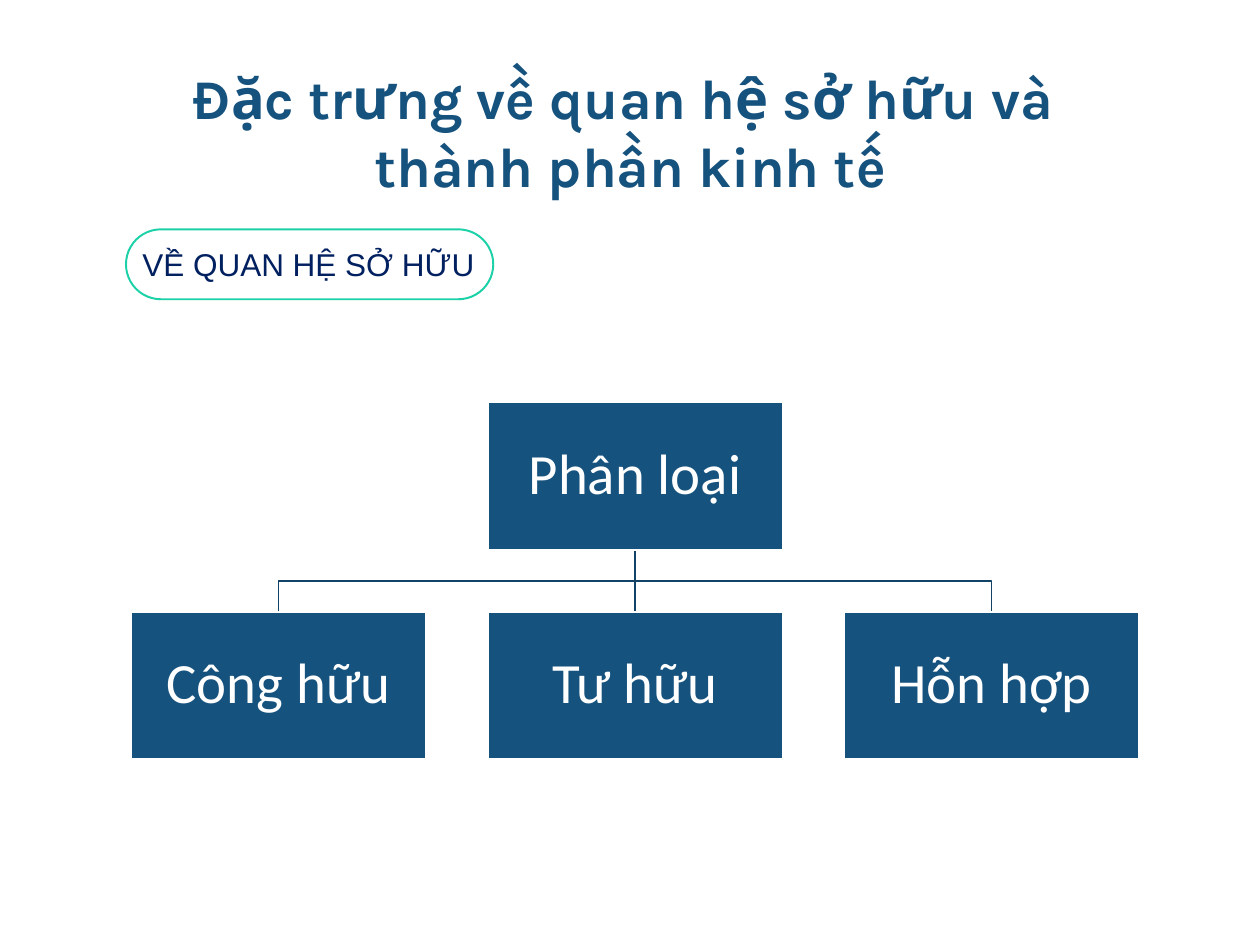
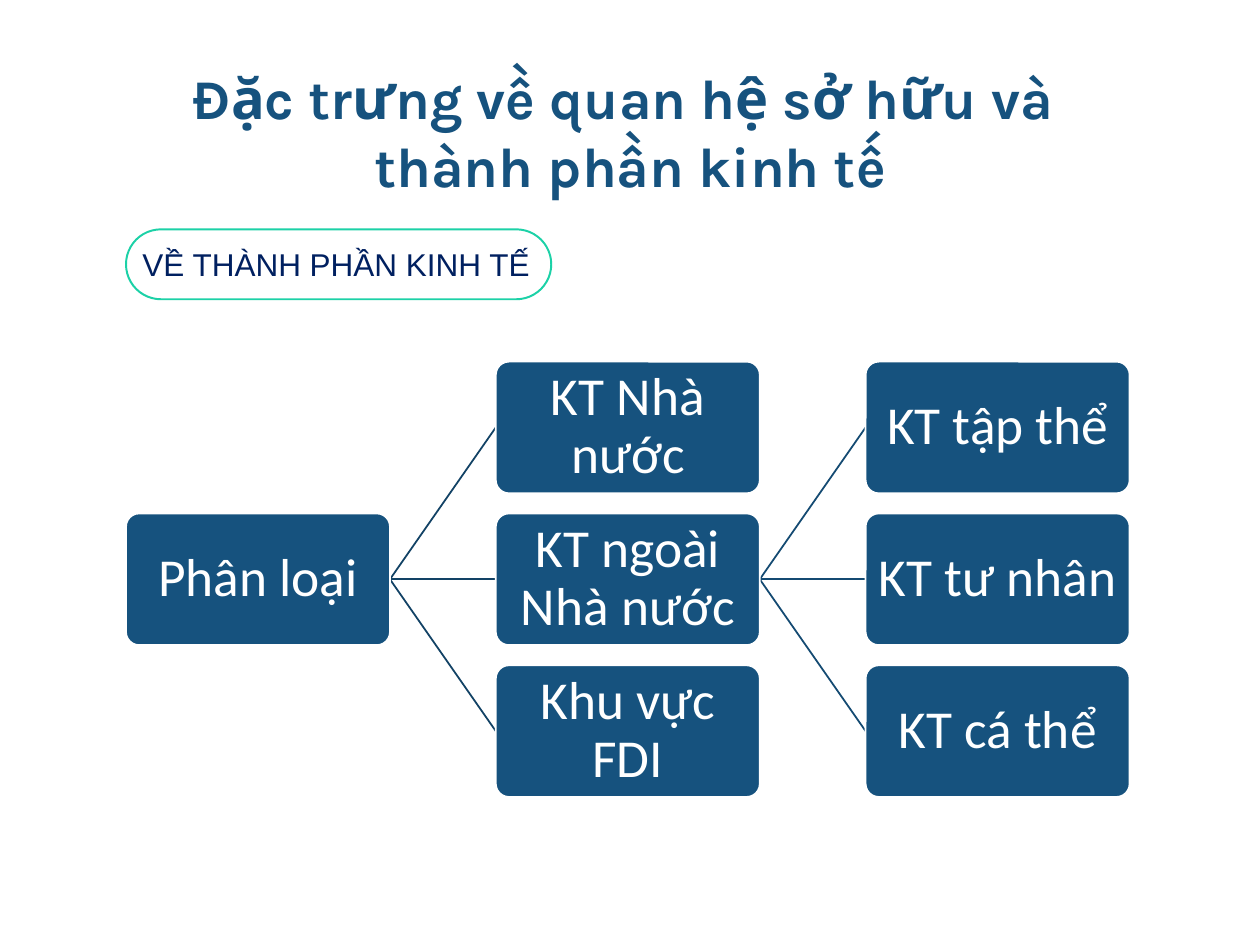
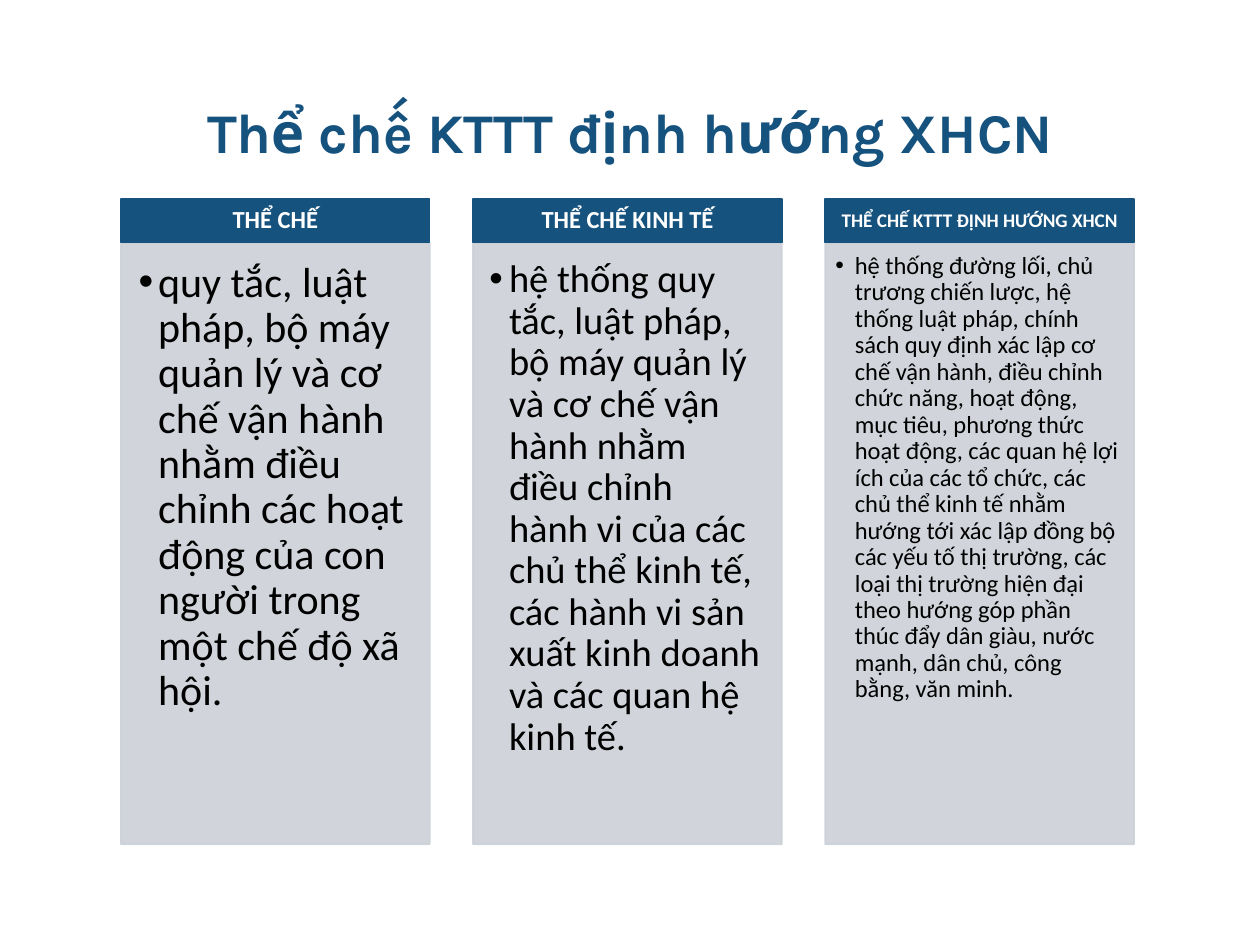
"""Build three slides on ownership, economic sectors and institutions."""
from dataclasses import dataclass

from lxml import etree
from pptx import Presentation
from pptx import util as u
from pptx.dml.color import RGBColor
from pptx.enum import shapes, text
from pptx.oxml.ns import qn

RECT = shapes.MSO_SHAPE.RECTANGLE
ROUND = shapes.MSO_SHAPE.ROUNDED_RECTANGLE
TOPIC = "Đặc trưng về quan hệ sở hữu và \vthành phần kinh tế"


@dataclass(frozen=True)
class Theme:
    """Colours, fonts and type sizes."""
    main: str = "16527E"
    dark: str = "124265"
    mid: str = "144A72"
    mint: str = "1CD1A7"
    navy: str = "002060"
    pale: str = "CCD1D8"
    white: str = "FFFFFF"
    black: str = "000000"
    head: str = "Karla"
    body: str = "Calibri"
    tag: str = "Arial"
    title: int = 64
    tree: int = 65
    node: int = 61
    pill: int = 36
    rule: float = 2
    edge: float = 2.25


@dataclass(frozen=True)
class Grid:
    """Equal cells at a fixed pitch, in slide columns and rows."""
    left: float
    top: float
    wide: float
    high: float
    dx: float
    dy: float = 0

    def cell(self, col, row=0):
        """Return left, top, width and height of a cell."""
        return (self.left + col * self.dx, self.top + row * self.dy,
                self.wide, self.high)


class Deck:
    """Style and current slide, with a method for each kind of element."""

    COLS, ROWS = 20, 15

    def __init__(self, theme):
        self.look = theme
        self.prs = Presentation()
        self.prs.slide_width = u.Inches(20)
        self.prs.slide_height = u.Inches(15)
        self.page = None

    def pos(self, x, y):
        """Turn columns and rows into slide lengths."""
        return (round(x * self.prs.slide_width / self.COLS),
                round(y * self.prs.slide_height / self.ROWS))

    def place(self, item, area):
        """Move an item to an area of the grid."""
        item.left, item.top = self.pos(*area[:2])
        item.width, item.height = self.pos(*area[2:])

    def begin(self, title, layout=5):
        """Add a slide with its title."""
        self.page = self.prs.slides.add_slide(self.prs.slide_layouts[layout])
        item = self.page.shapes.title
        self.place(item, (1, 0.83, 18, 2.5))
        self.label(item, title, self.look.head, self.look.title,
                   self.look.main, (0.27, 0.13, 0.27, 0.13), bold=True)

    def label(self, item, words, face, size, tint, pads, bold=False,
              align=text.PP_ALIGN.CENTER, anchor=text.MSO_ANCHOR.MIDDLE,
              wrap=True, gap=1.0, dot=False):
        """Set the text of an item."""
        frame = item.text_frame
        frame.auto_size = text.MSO_AUTO_SIZE.NONE
        frame.word_wrap = wrap
        frame.vertical_anchor = anchor
        (frame.margin_left, frame.margin_top,
         frame.margin_right, frame.margin_bottom) = map(u.Inches, pads)
        frame.text = words
        para = frame.paragraphs[0]
        para.alignment = align
        para.line_spacing = gap
        para.space_before = u.Pt(0)
        if dot:
            props = para._p.get_or_add_pPr()
            props.set("marL", str(u.Inches(0.31)))
            props.set("indent", str(-u.Inches(0.31)))
            etree.SubElement(props, qn("a:buFont")).set("typeface", "Arial")
            etree.SubElement(props, qn("a:buChar")).set("char", "•")
        font = para.font
        font.name, font.size, font.bold = face, u.Pt(size), bold
        font.color.rgb = RGBColor.from_string(tint)

    def paint(self, item, fill, line, width):
        """Set fill and outline of an item."""
        if fill:
            item.fill.solid()
            item.fill.fore_color.rgb = RGBColor.from_string(fill)
        else:
            item.fill.background()
        self.ink(item, line, width)

    def ink(self, item, tint, width):
        """Set the line of an item."""
        item.line.color.rgb = RGBColor.from_string(tint)
        item.line.width = u.Pt(width)

    def shape(self, kind, area, fill, line, width, bend=None):
        """Add a flat preset shape."""
        item = self.page.shapes.add_shape(
            kind, *self.pos(*area[:2]), *self.pos(*area[2:]))
        item.shadow.inherit = False
        if bend is not None:
            item.adjustments[0] = bend
        self.paint(item, fill, line, width)
        return item

    def pill(self, words, wide):
        """Add the outlined subject tag."""
        look = self.look
        item = self.shape(ROUND, (2, 3.64, wide, 1.11), None,
                          look.mint, look.edge, 0.5)
        self.label(item, words, look.tag, look.pill, look.navy,
                   (0.1, 0.05, 0.1, 0.05), align=text.PP_ALIGN.LEFT,
                   wrap=False)

    def node(self, words, area, size, kind=RECT, bend=None):
        """Add a box of a diagram."""
        look = self.look
        item = self.shape(kind, area, look.main, look.white, look.rule, bend)
        self.label(item, words, look.body, size, look.white,
                   (0.04,) * 4, gap=0.9)
        return item

    def back(self, item):
        """Send an item behind the others."""
        item._element.getparent().insert(2, item._element)

    def tie(self, one, two, ends, tint):
        """Join two boxes with a straight line."""
        item = self.page.shapes.add_connector(
            shapes.MSO_CONNECTOR.STRAIGHT, 0, 0, 0, 0)
        item.begin_connect(one, ends[0])
        item.end_connect(two, ends[1])
        self.ink(item, tint, self.look.rule)
        etree.SubElement(item._element.spPr, qn("a:effectLst"))
        self.back(item)

    def elbow(self, one, two):
        """Draw a stepped branch from a box to a lower one."""
        x, y = one.left + one.width // 2, one.top + one.height
        end, low = two.left + two.width // 2, two.top
        mid = (y + low) // 2
        pen = self.page.shapes.build_freeform(x, y)
        pen.add_line_segments([(x, mid), (end, mid), (end, low)], close=False)
        item = pen.convert_to_shape()
        item.shadow.inherit = False
        self.paint(item, None, self.look.dark, self.look.rule)
        self.back(item)

    def header(self, words, area, size):
        """Add the heading bar of a column."""
        look = self.look
        item = self.shape(RECT, area, look.main, look.main, look.rule)
        self.label(item, words, look.body, size, look.white,
                   (0.17, 0.1, 0.17, 0.1), bold=True, gap=0.9)

    def panel(self, slot, words, area, size, pads):
        """Fill a body placeholder as a tinted bullet list."""
        look = self.look
        item = self.page.placeholders[slot]
        self.place(item, area)
        self.paint(item, look.pale, look.pale, look.rule)
        for tint in item._element.spPr.iter(qn("a:srgbClr")):
            etree.SubElement(tint, qn("a:alpha")).set("val", "90000")
        self.label(item, words, look.body, size, look.black, pads,
                   align=text.PP_ALIGN.LEFT, anchor=text.MSO_ANCHOR.TOP,
                   gap=0.9, dot=True)

    def prune(self):
        """Remove empty placeholders."""
        for item in list(self.page.placeholders):
            if not item.text_frame.text:
                item._element.getparent().remove(item._element)


def owners(deck):
    """Draw the ownership tree."""
    deck.begin(TOPIC)
    deck.pill("VỀ QUAN HỆ SỞ HỮU", 5.83)
    grid = Grid(2.08, 6.39, 4.68, 2.34, 5.66, 3.32)
    size = deck.look.tree
    root = deck.node("Phân loại", grid.cell(1), size)
    left, mid, right = [
        deck.node(words, grid.cell(col, 1), size)
        for col, words in enumerate(("Công hữu", "Tư hữu", "Hỗn hợp"))]
    deck.elbow(root, left)
    deck.elbow(root, right)
    deck.tie(root, mid, (2, 0), deck.look.dark)


def sectors(deck):
    """Draw the tree of economic sectors."""
    deck.begin(TOPIC)
    deck.pill("VỀ THÀNH PHẦN KINH TẾ", 6.75)
    grid = Grid(2, 5.74, 4.19, 2.09, 5.87, 2.41)

    def add(words, col, row):
        return deck.node(words, grid.cell(col, row), deck.look.node,
                         ROUND, 0.1)

    root = add("Phân loại", 0, 1)
    levels = (
        (("KT Nhà nước", "KT ngoài Nhà nước", "Khu vực FDI"), deck.look.dark),
        (("KT tập thể", "KT tư nhân", "KT cá thể"), deck.look.mid))
    for col, (names, tint) in enumerate(levels, 1):
        kids = [add(words, col, row) for row, words in enumerate(names)]
        for kid in kids:
            deck.tie(root, kid, (3, 1), tint)
        root = kids[1]


def rules(deck):
    """Set the three definitions side by side."""
    deck.begin("Thể chế KTTT định hướng XHCN", layout=4)
    heads = Grid(1.92, 3.16, 4.9, 0.69, 5.59)
    lists = Grid(1.92, 3.86, 4.9, 9.54, 5.59)
    items = (
        ("THỂ CHẾ", 28,
         "quy tắc, luật pháp, bộ máy quản lý và cơ chế vận hành nhằm điều "
         "chỉnh các hoạt động của con người trong một chế độ xã hội.",
         48, (0.28, 0.28, 0.37, 0.42)),
        ("THỂ CHẾ KINH TẾ", 28,
         "hệ thống quy tắc, luật pháp, bộ máy quản lý và cơ chế vận hành "
         "nhằm điều chỉnh hành vi của các chủ thể kinh tế, các hành vi sản "
         "xuất kinh doanh và các quan hệ kinh tế.",
         44, (0.26, 0.26, 0.34, 0.39)),
        ("THỂ CHẾ KTTT ĐỊNH HƯỚNG XHCN", 22,
         "hệ thống đường lối, chủ trương chiến lược, hệ thống luật pháp, "
         "chính sách quy định xác lập cơ chế vận hành, điều chỉnh chức năng, "
         "hoạt động, mục tiêu, phương thức hoạt động, các quan hệ lợi ích "
         "của các tổ chức, các chủ thể kinh tế nhằm hướng tới xác lập đồng "
         "bộ các yếu tố thị trường, các loại thị trường hiện đại theo hướng "
         "góp phần thúc đẩy dân giàu, nước mạnh, dân chủ, công bằng, "
         "văn minh.",
         28, (0.16, 0.16, 0.22, 0.24)))
    for col, (head, big, words, size, pads) in enumerate(items):
        deck.header(head, heads.cell(col), big)
        deck.panel(col + 1, words, lists.cell(col), size, pads)
    deck.prune()


def main():
    """Build and save the deck."""
    deck = Deck(Theme())
    for draw in (owners, sectors, rules):
        draw(deck)
    deck.prs.save("out.pptx")


if __name__ == "__main__":
    main()
